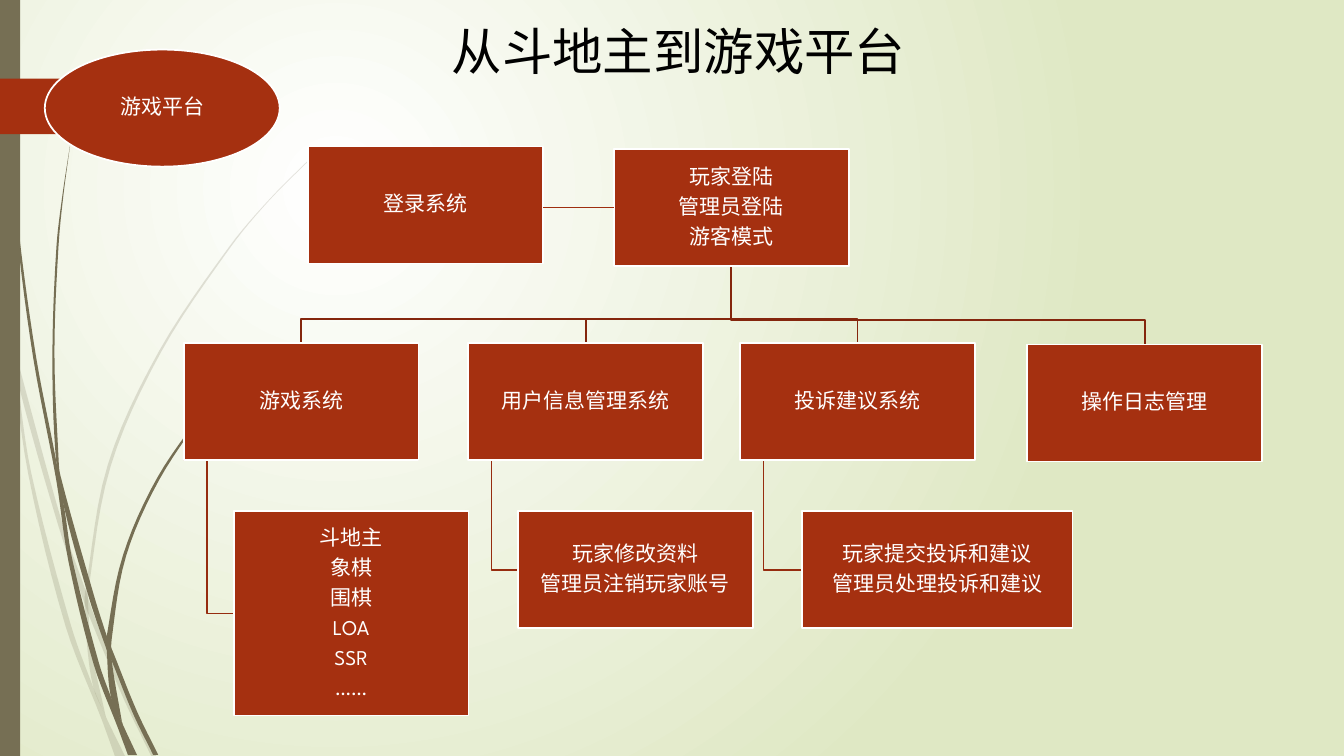
"""Build the slide that shows how a card game grows into a game platform."""
from lxml import etree
from pptx import Presentation
from pptx.dml.color import RGBColor
from pptx.enum.shapes import MSO_CONNECTOR, MSO_SHAPE
from pptx.enum.text import MSO_ANCHOR, PP_ALIGN
from pptx.oxml import parse_xml
from pptx.oxml.ns import nsdecls, qn
from pptx.util import Cm, Pt

RECTANGLE, OVAL, TAG = MSO_SHAPE.RECTANGLE, MSO_SHAPE.OVAL, MSO_SHAPE.PENTAGON
STRAIGHT = MSO_CONNECTOR.STRAIGHT
CENTER, LEFT = PP_ALIGN.CENTER, PP_ALIGN.LEFT
MIDDLE, TOP = MSO_ANCHOR.MIDDLE, MSO_ANCHOR.TOP

FONT = "League Spartan"
COLORS = {
    "box": "A53010", "white": "FFFFFF", "title": "000000", "wisp": "766F54",
    "trunk": "84260D", "branch": "962C0F", "link": "9E2E0F", "edge": "DFE8C4",
}
TITLE = "从斗地主到游戏平台"
BOX_WIDTH, BOX_HEIGHT = 5.92, 2.95
BUS_GAP = 0.61

PLATFORM = ("游戏平台", 1.13, 1.25, BOX_WIDTH, BOX_HEIGHT)
LOGIN = ("登录系统", 7.77, 3.69, BOX_WIDTH, BOX_HEIGHT)
MODES = ("玩家登陆\n管理员登陆\n游客模式", 15.47, 3.76, BOX_WIDTH, BOX_HEIGHT)
SYSTEMS = [
    (("游戏系统", 4.63, 8.65, BOX_WIDTH, BOX_HEIGHT),
     ("斗地主\n象棋\n围棋\nLOA\nSSR\n……", 5.89, 12.88, BOX_WIDTH, 5.15)),
    (("用户信息管理系统", 11.8, 8.65, BOX_WIDTH, BOX_HEIGHT),
     ("玩家修改资料\n管理员注销玩家账号", 13.05, 12.88, BOX_WIDTH, BOX_HEIGHT)),
    (("投诉建议系统", 18.65, 8.65, BOX_WIDTH, BOX_HEIGHT),
     ("玩家提交投诉和建议\n管理员处理投诉和建议", 20.22, 12.88, 6.81, BOX_HEIGHT)),
    (("操作日志管理", 25.89, 8.68, BOX_WIDTH, BOX_HEIGHT), None),
]

WISP_UNIT = Cm(0.0254)
FAINT_WISPS = [
    ([(0, 299), (10, 344), (28, 470), (65, 621), (101, 714), (114, 750)],
     [(0, 282), (9, 322), (17, 376), (31, 469), (70, 619), (93, 683), (105, 711), (124, 750)]),
    ([(14, 345), (17, 376), (58, 522), (84, 599), (88, 610), (123, 694), (150, 750)],
     [(14, 345), (62, 520), (85, 586), (92, 607), (127, 692), (155, 750)]),
    ([(312, 153), (268, 197), (228, 244), (158, 348), (107, 461), (85, 584), (84, 599),
      (87, 646), (93, 683), (105, 711)],
     [(312, 154), (268, 198), (229, 245), (160, 349), (110, 462), (88, 584), (88, 610),
      (91, 646), (105, 711)]),
]
DARK_WISPS = [
    ([(3, 0), (4, 48), (7, 110), (17, 233), (33, 355), (56, 477), (68, 557), (93, 659),
      (117, 722), (127, 749)],
     [(4, 0), (5, 48), (8, 109), (19, 232), (36, 355), (55, 453), (64, 505), (72, 556),
      (98, 657), (110, 691), (122, 719), (136, 749)]),
    ([(70, 141), (62, 193), (56, 245), (52, 349), (55, 449), (64, 505), (88, 592),
      (106, 645), (111, 656), (132, 708), (152, 749)],
     [(70, 141), (63, 193), (58, 245), (54, 349), (58, 453), (60, 472), (93, 590),
      (106, 631), (113, 649), (136, 706), (157, 749)]),
    ([(260, 344), (231, 373), (204, 405), (156, 474), (122, 551), (106, 631), (106, 645),
      (110, 691), (122, 719)],
     [(261, 344), (231, 374), (205, 406), (158, 476), (125, 552), (111, 633), (111, 656),
      (121, 716)]),
]


def color(name):
    return RGBColor.from_string(COLORS[name])


def paint_background(slide):
    slide.background.fill.solid()
    properties = slide.background._cSld.find(qn("p:bg")).find(qn("p:bgPr"))
    properties.replace(properties[0], parse_xml(
        f'<a:gradFill {nsdecls("a")} rotWithShape="1"><a:gsLst>'
        f'<a:gs pos="0"><a:srgbClr val="{COLORS["white"]}"/></a:gs>'
        f'<a:gs pos="100000"><a:srgbClr val="{COLORS["edge"]}"/></a:gs></a:gsLst>'
        '<a:path path="circle"><a:fillToRect l="50000" t="50000" r="100000" b="100000"/>'
        '</a:path></a:gradFill>'))


def smooth_edge(points, steps=6):
    """Return points on a cubic curve that runs down through the given points."""
    last = len(points) - 1
    slopes = []
    for index in range(last + 1):
        (x0, y0), (x1, y1) = points[max(index - 1, 0)], points[min(index + 1, last)]
        slopes.append((x1 - x0) / (y1 - y0))
    curve = [points[0]]
    for (x0, y0), (x1, y1), m0, m1 in zip(points, points[1:], slopes, slopes[1:]):
        height = y1 - y0
        for step in range(1, steps + 1):
            t = step / steps
            x = (x0 * (1 + 2 * t) * (1 - t) ** 2 + m0 * height * t * (1 - t) ** 2
                 + x1 * t * t * (3 - 2 * t) + m1 * height * t * t * (t - 1))
            curve.append((x, y0 + height * t))
    return curve


def add_path(slide, points, unit, close):
    fine_points = [(x * 100, y * 100) for x, y in points]
    builder = slide.shapes.build_freeform(*fine_points[0], scale=unit / 100)
    builder.add_line_segments(fine_points[1:], close=close)
    shape = builder.convert_to_shape()
    shape.shadow.inherit = False
    return shape


def add_wisp(slide, edges, alpha):
    left, right = map(smooth_edge, edges)
    shape = add_path(slide, left + right[::-1], WISP_UNIT, True)
    shape.fill.solid()
    shape.fill.fore_color.rgb = color("wisp")
    shape.line.fill.background()
    fill_color = shape._element.spPr.find(qn("a:solidFill"))[0]
    etree.SubElement(fill_color, qn("a:alpha")).set("val", str(alpha * 1000))


def add_elbow(slide, points, color_name):
    shape = add_path(slide, points, Cm(1), False)
    shape.fill.background()
    shape.line.color.rgb = color(color_name)
    shape.line.width = Pt(1.25)


def add_filled(slide, kind, left, top, width, height, color_name):
    shape = slide.shapes.add_shape(kind, Cm(left), Cm(top), Cm(width), Cm(height))
    shape.shadow.inherit = False
    shape.fill.solid()
    shape.fill.fore_color.rgb = color(color_name)
    shape.line.fill.background()
    return shape


def format_text(text_frame, size, color_name, alignment, anchor):
    text_frame.word_wrap = True
    text_frame.vertical_anchor = anchor
    for paragraph in text_frame.paragraphs:
        paragraph.alignment = alignment
        for run in paragraph.runs:
            run.font.name = FONT
            run.font.size = Pt(size)
            run.font.color.rgb = color(color_name)


def add_box(slide, box, kind=RECTANGLE):
    text, *place = box
    shape = add_filled(slide, kind, *place, "box")
    shape.line.color.rgb = color("white")
    shape.line.width = Pt(1.25)
    frame = shape.text_frame
    frame.text = text
    frame.margin_left = frame.margin_right = frame.margin_top = frame.margin_bottom = Cm(0.03)
    format_text(frame, 15, "white", CENTER, MIDDLE)
    for paragraph in frame.paragraphs:
        paragraph.line_spacing = 0.9
        paragraph.space_after = Pt(5.2)
    return shape


def add_tree(slide):
    _, left, top, width, height = MODES
    start_x, start_y = left + width / 2, top + height
    for system, details in SYSTEMS:
        _, left, top, width, height = system
        middle, bus = left + width / 2, top - BUS_GAP
        add_elbow(slide, [(start_x, start_y), (start_x, bus), (middle, bus), (middle, top)], "trunk")
        if details:
            _, detail_left, detail_top, _, detail_height = details
            x, y = left + width / 10, detail_top + detail_height / 2
            add_elbow(slide, [(x, top + height), (x, y), (detail_left, y)], "branch")
    add_box(slide, PLATFORM, OVAL)
    add_box(slide, LOGIN)
    modes = add_box(slide, MODES)
    for box in (box for pair in SYSTEMS for box in pair if box):
        add_box(slide, box)
    y = modes.top + modes.height // 2
    link = slide.shapes.add_connector(STRAIGHT, Cm(LOGIN[1] + LOGIN[3]), y, modes.left, y)
    link.end_connect(modes, 1)
    link.line.color.rgb = color("link")
    link.line.width = Pt(0.75)
    etree.SubElement(link._element.spPr, qn("a:effectLst"))


def main():
    presentation = Presentation()
    presentation.slide_width, presentation.slide_height = Cm(33.87), Cm(19.05)
    slide = presentation.slides.add_slide(presentation.slide_layouts[5])
    paint_background(slide)
    for wisps, alpha in ((FAINT_WISPS, 20), (DARK_WISPS, 100)):
        for edges in wisps:
            add_wisp(slide, edges, alpha)
    add_filled(slide, RECTANGLE, 0, 0, 0.51, 19.05, "wisp")
    add_filled(slide, TAG, 0, 1.98, 4.42, 1.4, "box")
    add_tree(slide)
    title = slide.shapes.title
    title.left, title.top, title.width, title.height = Cm(11.13), Cm(0.38), Cm(16.41), Cm(1.8)
    title.text_frame.text = TITLE
    format_text(title.text_frame, 36, "title", LEFT, TOP)
    presentation.save("out.pptx")


if __name__ == "__main__":
    main()
